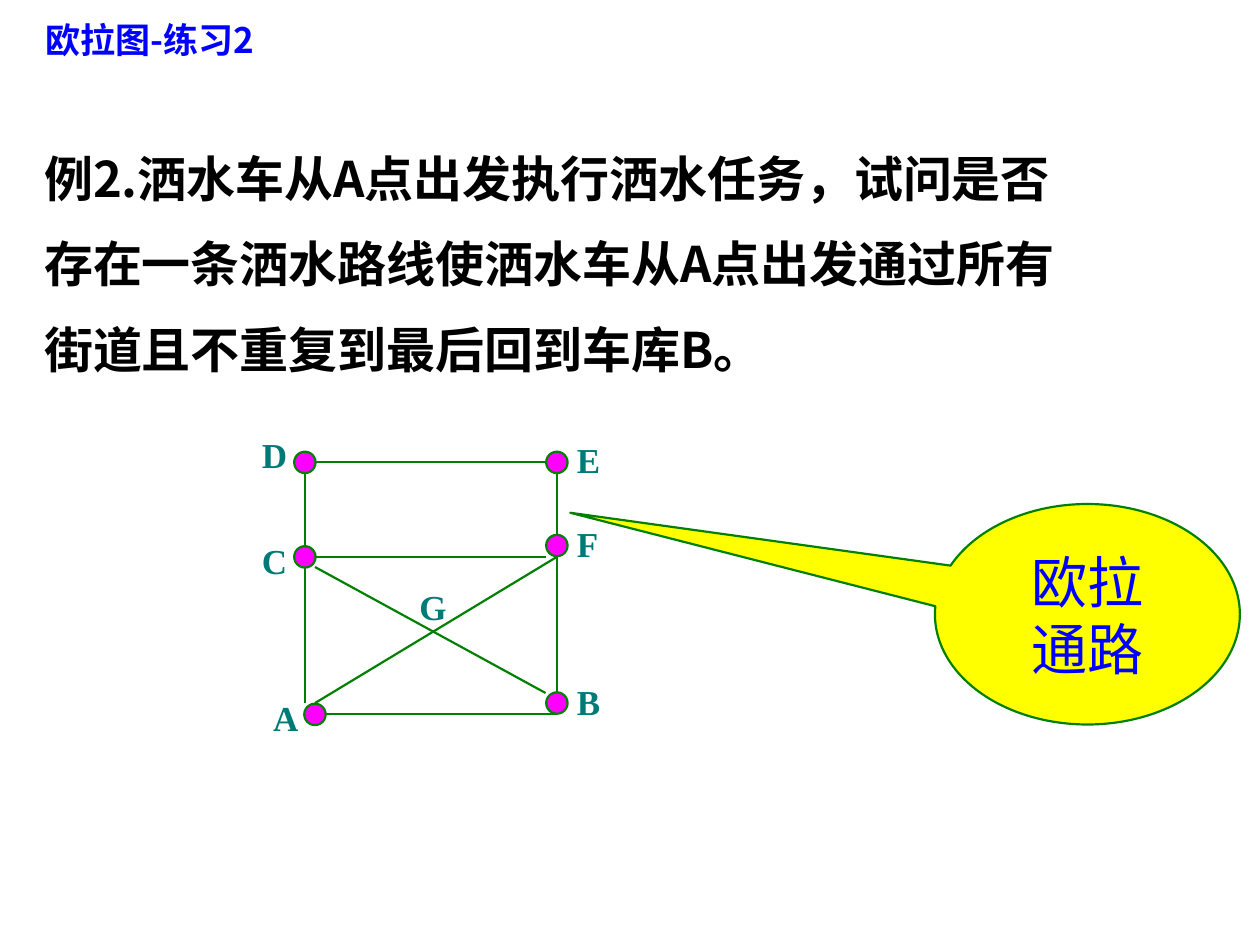
from typing import NamedTuple, Optional

from lxml.etree import SubElement
from pptx import Presentation
from pptx.dml.color import RGBColor
from pptx.enum.shapes import MSO_CONNECTOR as Connector, MSO_SHAPE as Shape
from pptx.enum.text import MSO_ANCHOR as Anchor, MSO_AUTO_SIZE as AutoSize, PP_ALIGN as Align
from pptx.oxml.ns import qn
from pptx.util import Inches, Pt

COLORS = {
    "title": "0000FF",
    "question": "000000",
    "street": "008000",
    "junction": "FF00FF",
    "label": "007A77",
    "callout": "FFFF00",
}
CHINESE_FONT = "Noto Sans CJK SC"
DOT = 0.17


class Junction(NamedTuple):
    name: str
    label_at: tuple[float, float]
    center: Optional[tuple[float, float]] = None


class Street(NamedTuple):
    start: tuple[float, float]
    end: tuple[float, float]


JUNCTIONS = [
    Junction("D", (1.98, 3.39), (2.42, 3.67)),
    Junction("E", (4.48, 3.43), (4.42, 3.67)),
    Junction("C", (1.98, 4.23), (2.42, 4.42)),
    Junction("F", (4.48, 4.1), (4.42, 4.33)),
    Junction("A", (2.07, 5.48), (2.5, 5.67)),
    Junction("B", (4.48, 5.35), (4.42, 5.58)),
    Junction("G", (3.23, 4.6)),
]
STREETS = [
    Street((2.5, 3.67), (4.33, 3.67)),
    Street((2.42, 3.75), (2.42, 4.33)),
    Street((4.42, 3.75), (4.42, 4.25)),
    Street((2.5, 4.42), (4.33, 4.42)),
    Street((2.42, 4.5), (2.42, 5.58)),
    Street((4.42, 4.42), (4.42, 5.5)),
    Street((2.58, 5.67), (4.42, 5.67)),
    Street((2.5, 4.5), (4.33, 5.5)),
    Street((2.5, 5.58), (4.42, 4.42)),
]


def rgb(role: str) -> RGBColor:
    return RGBColor.from_string(COLORS[role])


def place(shape, left: float, top: float, width: float, height: float) -> None:
    shape.left, shape.top = Inches(left), Inches(top)
    shape.width, shape.height = Inches(width), Inches(height)


def set_font(paragraph, name: str, size: int, role: str, bold: bool = False) -> None:
    """Format the paragraph, with the same face for Latin and Chinese text."""
    font = paragraph.font
    font.name, font.size, font.bold = name, Pt(size), bold
    font.color.rgb = rgb(role)
    properties = paragraph._p.pPr.find(qn("a:defRPr"))
    SubElement(properties, qn("a:ea")).set("typeface", name)


def outline(line) -> None:
    line.color.rgb = rgb("street")
    line.width = Pt(1.25)


def add_filled(slide, kind, left, top, width, height, role: str):
    shape = slide.shapes.add_shape(kind, Inches(left), Inches(top), Inches(width), Inches(height))
    shape.shadow.inherit = False
    shape.fill.solid()
    shape.fill.fore_color.rgb = rgb(role)
    outline(shape.line)
    return shape


def add_title(slide) -> None:
    title = slide.shapes.title
    place(title, 0.26, 0.1, 3.02, 0.43)
    frame = title.text_frame
    frame.text = "欧拉图-练习2"
    frame.vertical_anchor = Anchor.TOP
    frame.auto_size = AutoSize.NONE
    frame.paragraphs[0].alignment = Align.LEFT
    set_font(frame.paragraphs[0], CHINESE_FONT, 20, "title", bold=True)


def add_question(slide) -> None:
    body = slide.placeholders[1]
    place(body, 0.25, 0.92, 9.75, 2.15)
    frame = body.text_frame
    frame.text = (
        "例2.洒水车从A点出发执行洒水任务，试问是否\n"
        "存在一条洒水路线使洒水车从A点出发通过所有\n"
        "街道且不重复到最后回到车库B。"
    )
    frame.auto_size = AutoSize.NONE
    for paragraph in frame.paragraphs:
        paragraph.line_spacing = 1.45
        paragraph.space_before = Pt(0)
        properties = paragraph._p.get_or_add_pPr()
        properties.set("marL", "0")
        properties.set("indent", "0")
        SubElement(properties, qn("a:buNone"))
        set_font(paragraph, CHINESE_FONT, 28, "question", bold=True)


def add_dot(slide, center: tuple[float, float]) -> None:
    x, y = center
    add_filled(slide, Shape.OVAL, x - DOT / 2, y - DOT / 2, DOT, DOT, "junction")


def add_street(slide, street: Street) -> None:
    ends = [Inches(value) for value in (*street.start, *street.end)]
    connector = slide.shapes.add_connector(Connector.STRAIGHT, *ends)
    outline(connector.line)
    SubElement(connector._element.spPr, qn("a:effectLst"))


def add_label(slide, junction: Junction) -> None:
    left, top = junction.label_at
    label = slide.shapes.add_textbox(Inches(left), Inches(top), Inches(0.4), Inches(0.43))
    frame = label.text_frame
    frame.text = junction.name
    frame.word_wrap = False
    set_font(frame.paragraphs[0], "Times New Roman", 20, "label", bold=True)


def add_answer(slide) -> None:
    callout = add_filled(slide, Shape.OVAL_CALLOUT, 7.42, 4, 2.42, 1.75, "callout")
    callout.adjustments[0] = -1.696
    callout.adjustments[1] = -0.46
    frame = callout.text_frame
    frame.text = "欧拉\n通路"
    frame.vertical_anchor = Anchor.MIDDLE
    for paragraph in frame.paragraphs:
        paragraph.alignment = Align.CENTER
        set_font(paragraph, "Arial", 32, "title")


def main() -> None:
    deck = Presentation()
    deck.slide_width, deck.slide_height = Inches(10), Inches(7.5)
    slide = deck.slides.add_slide(deck.slide_layouts[1])
    add_title(slide)
    add_question(slide)
    for junction in JUNCTIONS:
        if junction.center:
            add_dot(slide, junction.center)
    for street in STREETS:
        add_street(slide, street)
    for junction in JUNCTIONS:
        add_label(slide, junction)
    add_answer(slide)
    deck.save("out.pptx")


if __name__ == "__main__":
    main()
